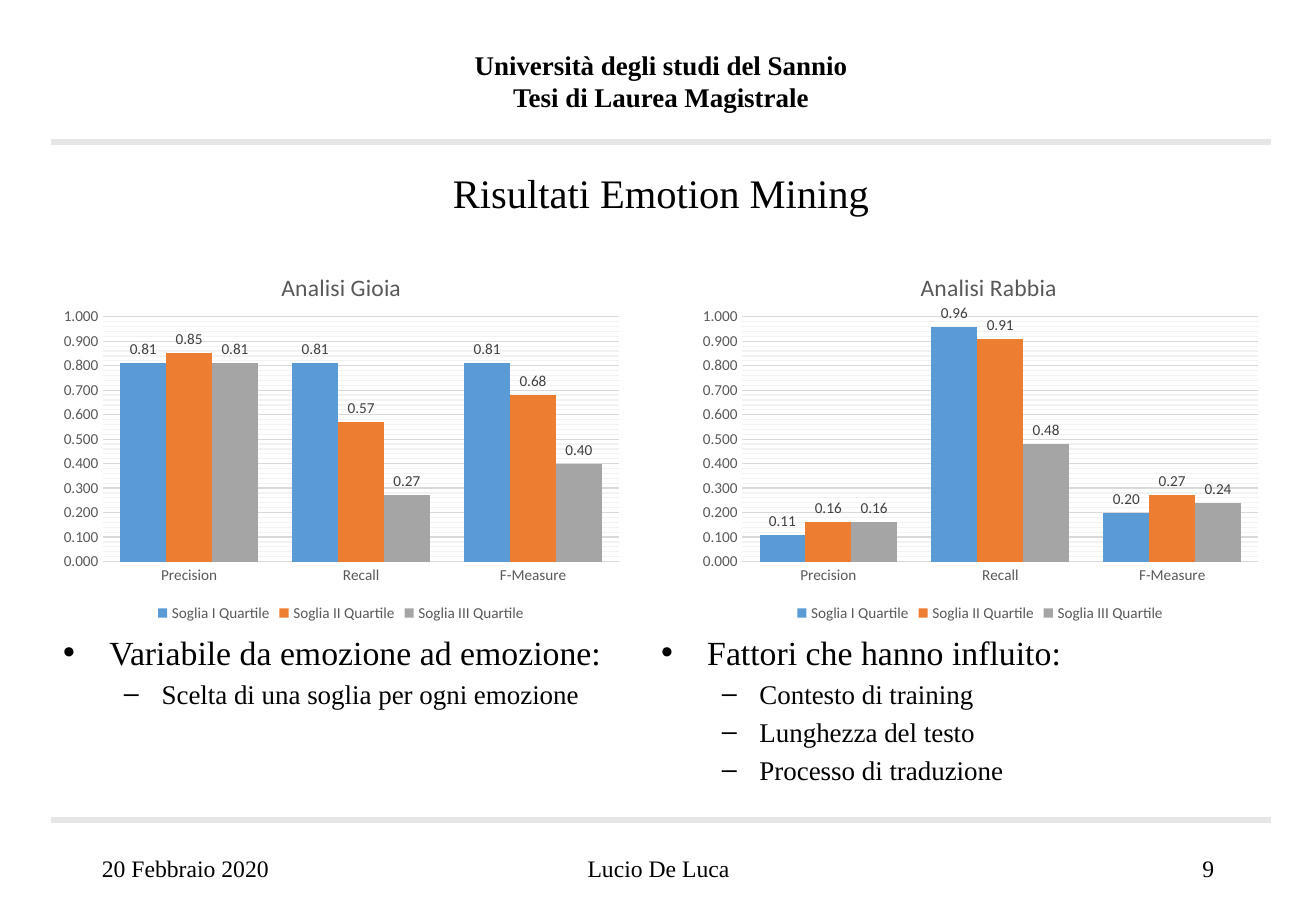
from lxml import etree
from pptx import Presentation, util as u
from pptx.chart.data import CategoryChartData
from pptx.dml.color import RGBColor
from pptx.enum import chart as ch, shapes, text
from pptx.oxml import parse_xml
from pptx.oxml.ns import nsdecls, qn

PX = 9144  # EMU per px, 100 px to the inch
SERIF, SANS = "Times New Roman", "Calibri"
COLORS = {"text": "000000", "rule": "E7E6E6", "grid": "D9D9D9", "minor": "F2F2F2",
          "axis": "595959", "label": "404040"}
SERIES = {"Soglia I Quartile": "5B9BD5", "Soglia II Quartile": "ED7D31",
          "Soglia III Quartile": "A5A5A5"}
MEASURES = ["Precision", "Recall", "F-Measure"]
JOY = [(0.81, 0.81, 0.81), (0.85, 0.57, 0.68), (0.81, 0.27, 0.40)]
ANGER = [(0.11, 0.96, 0.20), (0.16, 0.91, 0.27), (0.16, 0.48, 0.24)]
LEFT, CENTER, RIGHT = text.PP_ALIGN.LEFT, text.PP_ALIGN.CENTER, text.PP_ALIGN.RIGHT


def rgb(value):
    return RGBColor.from_string(value)


def emu(box):
    return [u.Emu(v * PX) for v in box]


def style(font, name, size, color, bold=False):
    font.name, font.size, font.bold = name, u.Pt(size), bold
    font.color.rgb = rgb(color)


def place(sp, box):
    sp.left, sp.top, sp.width, sp.height = emu(box)


def add_run(p, words, size, bold=False):
    r = p.add_run()
    r.text = words
    style(r.font, SERIF, size, COLORS["text"], bold)


def add_text(s, box, lines, size, align, bold=False, anchor=text.MSO_ANCHOR.TOP):
    tf = s.shapes.add_textbox(*emu(box)).text_frame
    tf.word_wrap = True
    tf.vertical_anchor = anchor
    for i, line in enumerate(lines):
        p = tf.add_paragraph() if i else tf.paragraphs[0]
        p.alignment = align
        add_run(p, line, size, bold)


def add_rule(s, x, y, w):
    ln = s.shapes.add_connector(shapes.MSO_CONNECTOR.STRAIGHT, *emu((x, y, x + w, y)))
    ln.line.color.rgb = rgb(COLORS["rule"])
    ln.line.width = u.Pt(4)
    etree.SubElement(ln._element.spPr, qn("a:effectLst"))


def add_header(s, box):
    x, y, w, h = box
    add_text(s, (x, y, w, 64),
             ["Università degli studi del Sannio", "Tesi di Laurea Magistrale"],
             16, CENTER, bold=True)
    add_rule(s, x, y + h, w)


def add_footer(s, box):
    x, y, w, h = box
    add_rule(s, x, y, w)
    for dx, width, words, align in ((32, 244, "20 Febbraio 2020", LEFT),
                                    (317, 366, "Lucio De Luca", CENTER),
                                    (723, 244, "9", RIGHT)):
        add_text(s, (x + dx, y + 20, width, h - 20), [words], 14, align,
                 anchor=text.MSO_ANCHOR.MIDDLE)


def fill_title(sp, box, words):
    place(sp, box)
    tf = sp.text_frame
    tf.auto_size = text.MSO_AUTO_SIZE.NONE
    tf.vertical_anchor = text.MSO_ANCHOR.TOP
    add_run(tf.paragraphs[0], words, 24)


def fill_list(sp, box, heading, items):
    place(sp, box)
    tf = sp.text_frame
    tf.auto_size = text.MSO_AUTO_SIZE.NONE
    for i, line in enumerate([heading, *items]):
        p = tf.add_paragraph() if i else tf.paragraphs[0]
        p.level = 1 if i else 0
        margin, hang = (81, 31) if i else (38, 38)
        pPr = p._p.get_or_add_pPr()
        pPr.set("marL", str(margin * PX))
        pPr.set("indent", str(-hang * PX))
        add_run(p, line, 16 if i else 20)


def layout_xml(inner=False, **fractions):
    """Build a manual chart layout from fractions of the chart area."""
    parts = '<c:layoutTarget val="inner"/>' if inner else ""
    parts += "".join(f'<c:{k}Mode val="edge"/>' for k in "xy")
    parts += "".join(f'<c:{k} val="{v}"/>' for k, v in fractions.items())
    return parse_xml(f"<c:layout {nsdecls('c')}><c:manualLayout>{parts}"
                     "</c:manualLayout></c:layout>")


def set_layout(parent, layout, index):
    for old in parent.findall(qn("c:layout")):
        parent.remove(old)
    parent.insert(index, layout)


def add_minor_gridlines(axis):
    axis.has_minor_gridlines = True
    axis._element.find(qn("c:minorGridlines")).append(parse_xml(
        f'<c:spPr {nsdecls("c", "a")}><a:ln w="{u.Pt(0.75)}"><a:solidFill>'
        f'<a:srgbClr val="{COLORS["minor"]}"/></a:solidFill></a:ln></c:spPr>'))


def format_axes(chart):
    cat, val = chart.category_axis, chart.value_axis
    for axis in (cat, val):
        axis.major_tick_mark = axis.minor_tick_mark = ch.XL_TICK_MARK.NONE
        style(axis.tick_labels.font, SANS, 9, COLORS["axis"])
    val.has_major_gridlines = True
    for part in (cat, val.major_gridlines):
        part.format.line.color.rgb = rgb(COLORS["grid"])
        part.format.line.width = u.Pt(0.75)
    add_minor_gridlines(val)
    val.format.line.fill.background()
    val.minimum_scale, val.maximum_scale = 0, 1
    val.major_unit, val.minor_unit = 0.1, 0.02
    val.tick_labels.number_format = "0.000"
    val.tick_labels.number_format_is_linked = False


def add_emotion_chart(s, box, title, scores):
    data = CategoryChartData(number_format="0.00")
    data.categories = MEASURES
    for name, values in zip(SERIES, scores):
        data.add_series(name, values)
    chart = s.shapes.add_chart(ch.XL_CHART_TYPE.COLUMN_CLUSTERED, *emu(box), data).chart
    style(chart.font, SANS, 10, COLORS["text"])
    chart.has_title = True
    r = chart.chart_title.text_frame.paragraphs[0].add_run()
    r.text = title
    style(r.font, SANS, 14, COLORS["axis"])
    set_layout(chart.chart_title._element, layout_xml(x=0.39, y=0.06), 1)
    set_layout(chart._chartSpace.chart.plotArea,
               layout_xml(inner=True, x=0.09, y=0.19, w=0.89, h=0.64), 0)
    chart.has_legend = True
    chart.legend.position = ch.XL_LEGEND_POSITION.BOTTOM
    chart.legend.include_in_layout = False
    style(chart.legend.font, SANS, 9, COLORS["axis"])
    format_axes(chart)
    plot = chart.plots[0]
    plot.vary_by_categories = False
    plot.gap_width, plot.overlap = 75, 0
    for series, color in zip(plot.series, SERIES.values()):
        series.format.fill.solid()
        series.format.fill.fore_color.rgb = rgb(color)
        labels = series.data_labels
        labels.show_value = True
        labels.number_format, labels.number_format_is_linked = "0.00", False
        labels.position = ch.XL_LABEL_POSITION.OUTSIDE_END
        style(labels.font, SANS, 9, COLORS["label"])


def main():
    prs = Presentation()
    prs.slide_width, prs.slide_height = emu((1083, 750))
    s = prs.slides.add_slide(prs.slide_layouts[3])
    title, left_list, right_list = s.placeholders
    x, w = 42, 1004
    add_header(s, (x, 35, w, 82))
    fill_title(title, (x, 133, w, 51), "Risultati Emotion Mining")
    add_emotion_chart(s, (x, 201, 477, 315), "Analisi Gioia", JOY)
    add_emotion_chart(s, (x + w - 478, 201, 477, 315), "Analisi Rabbia", ANGER)
    fill_list(left_list, (x, 515, 512, 144), "Variabile da emozione ad emozione:",
              ["Scelta di una soglia per ogni emozione"])
    fill_list(right_list, (x + w - 512, 515, 512, 144), "Fattori che hanno influito:",
              ["Contesto di training", "Lunghezza del testo", "Processo di traduzione"])
    add_footer(s, (x, 675, w, 60))
    prs.save("out.pptx")


if __name__ == "__main__":
    main()
